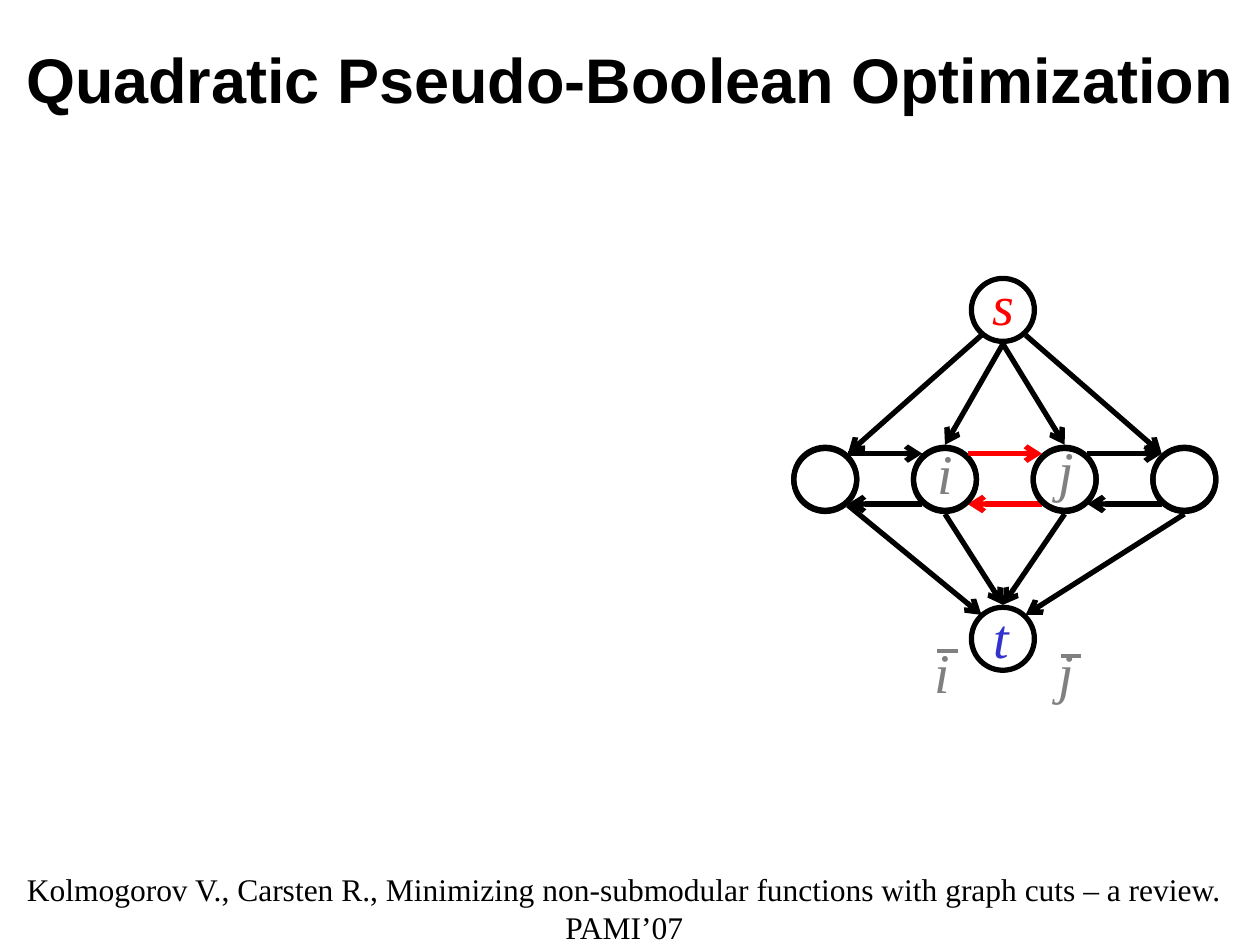
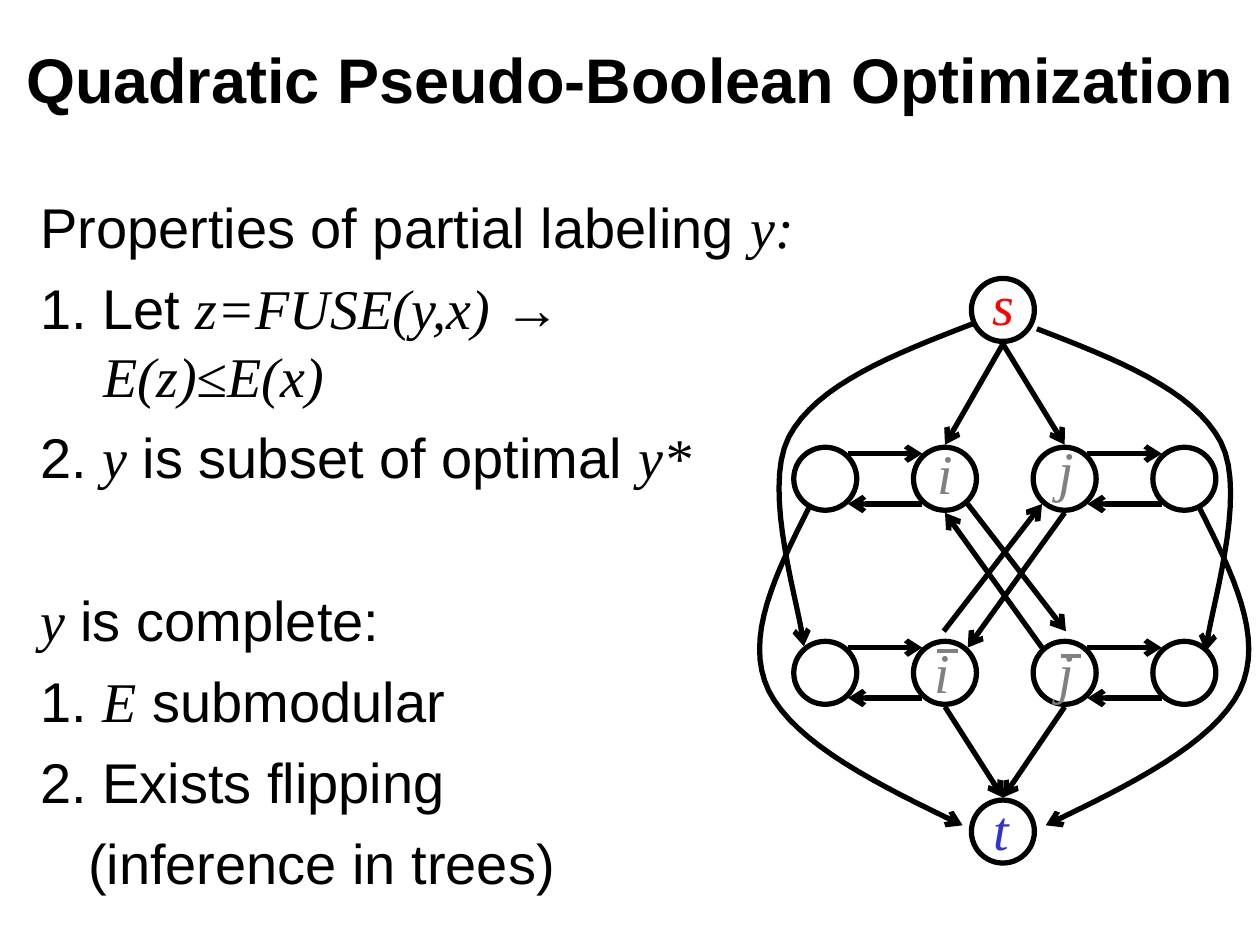
import pptx
import pptx.dml.color
import pptx.enum.shapes
import pptx.enum.text
import pptx.oxml
import pptx.oxml.ns
import pptx.util

Inches, Pt = pptx.util.Inches, pptx.util.Pt
ALIGN = pptx.enum.text.PP_ALIGN
COLORS = {"black": "000000", "white": "FFFFFF", "red": "FF0000",
          "blue": "3333CC", "gray": "808080"}
SANS, SERIF = "Arial", "Times New Roman"
TITLE = "Quadratic Pseudo-Boolean Optimization"

GRAPH = (6.3, 2.21)
NODE = 0.5
PITCH = 0.95
COLUMNS = [k * PITCH for k in range(4)]
TERMINAL_X = 1.41
UPPER_ROW = 1.34
I_X, J_X = 1.2, 2.15
NEAR, FAR = 0.05, 0.45
LINE = 3

S_CURVE = [(1.42, 0.36), (0.8, 0.6), (0.18, 0.84), (-0.04, 1.26),
           (-0.26, 1.69), (0.06, 2.64), (0.08, 2.92)]
T_CURVE = [(0.12, 1.82), (-0.14, 2.34), (-0.4, 2.85), (-0.2, 3.27),
           (0.01, 3.69), (0.67, 4.02), (1.34, 4.34)]


def rgb(name):
    return pptx.dml.color.RGBColor.from_string(COLORS[name])


def set_font(font, size, name, color="black", bold=False, italic=False):
    font.size, font.name = Pt(size), name
    font.bold, font.italic = bold, italic
    font.color.rgb = rgb(color)


def add_text(s, box, lines, size, name, wrap=False, align=ALIGN.CENTER,
             **style):
    """Add a text box with one paragraph per line and return its frame."""
    tf = s.shapes.add_textbox(*map(Inches, box)).text_frame
    tf.word_wrap = wrap
    for n, line in enumerate(lines):
        p = tf.paragraphs[0] if n == 0 else tf.add_paragraph()
        p.text, p.alignment = line, align
        set_font(p.font, size, name, **style)
    return tf


def add_title(s):
    tf = add_text(s, (0, 0, 10, 1.25), [TITLE], 36, SANS, wrap=True, bold=True)
    tf.vertical_anchor = pptx.enum.text.MSO_ANCHOR.MIDDLE


def add_arrowhead(line):
    ln = line._get_or_add_ln()
    ln.append(pptx.oxml.parse_xml(
        f'<a:tailEnd {pptx.oxml.ns.nsdecls("a")} type="arrow"/>'))


class Graph:
    """Draws graph parts at positions relative to its top left corner."""

    def __init__(self, s, origin):
        self.s = s
        self.left, self.top = origin

    def at(self, x, y):
        return Inches(self.left + x), Inches(self.top + y)

    def node(self, x, y, filled=True):
        sp = self.s.shapes.add_shape(pptx.enum.shapes.MSO_SHAPE.OVAL,
                                     *self.at(x, y), Inches(NODE), Inches(NODE))
        sp.shadow.inherit = False
        if filled:
            sp.fill.solid()
            sp.fill.fore_color.rgb = rgb("white")
        else:
            sp.fill.background()
        sp.line.color.rgb, sp.line.width = rgb("black"), Pt(LINE)

    def row(self, y, filled=True):
        for x in COLUMNS:
            self.node(x, y, filled)

    def line(self, start, end, color="black", width=LINE, head=True):
        c = self.s.shapes.add_connector(
            pptx.enum.shapes.MSO_CONNECTOR.STRAIGHT,
            *self.at(*start), *self.at(*end))
        c.line.color.rgb, c.line.width = rgb(color), Pt(width)
        c._element.spPr.append(pptx.oxml.parse_xml(
            f'<a:effectLst {pptx.oxml.ns.nsdecls("a")}/>'))
        if head:
            add_arrowhead(c.line)

    def both_ways(self, column, y, color="black"):
        """Join a node to its right neighbour by a pair of arrows."""
        x1 = COLUMNS[column] + NODE - 0.07
        x2 = COLUMNS[column + 1] + 0.07
        self.line((x1, y + NEAR), (x2, y + NEAR), color)
        self.line((x2, y + FAR), (x1, y + FAR), color)

    def label(self, text, x, y, color="gray", width=0.32):
        add_text(self.s, (self.left + x, self.top + y, width, 0.64), [text],
                 32, SERIF, color=color, italic=True)

    def curve(self, points, steps=16):
        """Draw an arrow along two joined cubic curves."""
        dots = [points[0]]
        for a, b, c, d in (points[:4], points[3:]):
            for n in range(1, steps + 1):
                t = n / steps
                u = 1 - t
                dots.append(tuple(
                    u**3 * p + 3 * u * u * t * q + 3 * u * t * t * v + t**3 * w
                    for p, q, v, w in zip(a, b, c, d)))
        builder = self.s.shapes.build_freeform(*self.at(*dots[0]))
        builder.add_line_segments([self.at(*d) for d in dots[1:]], close=False)
        sp = builder.convert_to_shape()
        sp.shadow.inherit = False
        sp.fill.background()
        sp.line.color.rgb, sp.line.width = rgb("black"), Pt(LINE)
        add_arrowhead(sp.line)

    def source(self):
        """Draw s, the upper row and the arrows both graphs have there."""
        self.node(TERMINAL_X, 0)
        self.row(UPPER_ROW)
        for x in (I_X, J_X):
            self.line((1.66, 0.52), (x, 1.32))
        for column in (0, 2):
            self.both_ways(column, UPPER_ROW)
        self.label("s", 1.48, -0.12, "red", 0.37)
        self.label("i", 1.04, 1.22)
        self.label("j", 2.0, 1.2)

    def sink(self, y):
        """Draw t below the row at y, with the arrows into it."""
        self.node(TERMINAL_X, y + 1.26)
        for x in (I_X, J_X):
            self.line((x, y + 0.52), (1.66, y + 1.24))
        self.label("t", 1.49, y + 1.17, "blue")
        self.row(y, filled=False)

    def complements(self):
        for text, x, bar_y in (("i", 1.02, 2.96), ("j", 2.0, 3.0)):
            self.label(text, x, 2.8)
            self.line((x + 0.12, bar_y), (x + 0.28, bar_y), "gray", 2.25, False)


def mirrored(points, width, dy=0):
    return [(width - x, y + dy) for x, y in points]


def add_single_graph(s, origin):
    g = Graph(s, origin)
    g.source()
    g.line((1.49, FAR), (0.43, 1.39))
    g.line((1.84, FAR), (2.92, 1.39))
    g.both_ways(1, UPPER_ROW, "red")
    row = UPPER_ROW + 0.01
    g.line((0.43, row + FAR), (1.49, row + 1.32))
    g.line((3.1, row + 0.52), (1.84, row + 1.32))
    g.sink(row)
    g.complements()


def add_doubled_graph(s, origin):
    g = Graph(s, origin)
    row = 2.88
    g.source()
    g.sink(row)
    g.complements()
    for column in (0, 2):
        g.both_ways(column, row)
    for start, end in (((2.15, 1.86), (1.38, 2.93)), ((1.19, 2.8), (1.97, 1.79)),
                       ((1.97, 2.93), (1.2, 1.86)), ((1.38, 1.79), (2.16, 2.8))):
        g.line(start, end)
    for points in (S_CURVE, mirrored(S_CURVE, 3.35, 0.04),
                   T_CURVE, mirrored(T_CURVE, 3.34)):
        g.curve(points)


def add_properties(s, box):
    """Add the list; each item alternates upright and italic pieces."""
    items = [
        ["Properties of partial labeling ", "y:"],
        ["1. Let ", "z=FUSE(y,x) ", "→\v ", "E(z)≤E(x)"],
        ["2. ", "y", " is subset of optimal ", "y*"],
        ["", "y", " is complete:"],
        ["1. ", "E", " submodular"],
        ["2. Exists flipping"],
        ["(inference in trees)"],
    ]
    section_start, continuation = 3, 6
    tf = add_text(s, box, [""] * len(items), 32, SANS, wrap=True,
                  align=ALIGN.LEFT)
    for n, (p, pieces) in enumerate(zip(tf.paragraphs, items)):
        hang = 0 if n == continuation else -0.38
        pPr = p._p.get_or_add_pPr()
        pPr.set("marL", str(Inches(0.38)))
        pPr.set("indent", str(Inches(hang)))
        p.line_spacing = Pt(39)
        p.space_before = Pt(0 if n == 0 else 54 if n == section_start else 7.3)
        for k, piece in enumerate(pieces):
            for m, part in enumerate(piece.split("\v")):
                if m:
                    p.add_line_break()
                if part:
                    r = p.add_run()
                    r.text = part
                    italic = k % 2 == 1
                    set_font(r.font, 32, SERIF if italic else SANS,
                             italic=italic)


def add_citation(s, box):
    add_text(s, box, ["Kolmogorov V., Carsten R., Minimizing non-submodular "
                      "functions with graph cuts – a review. ", "PAMI’07 "],
             18, SERIF)


def main():
    prs = pptx.Presentation()
    prs.slide_width, prs.slide_height = Inches(10), Inches(7.5)
    blank = prs.slide_layouts[6]

    s = prs.slides.add_slide(blank)
    add_title(s)
    add_single_graph(s, GRAPH)
    add_citation(s, (0.09, 6.86, 9.79, 0.7))

    s = prs.slides.add_slide(blank)
    add_title(s)
    add_properties(s, (0.22, 1.47, 7.22, 5.79))
    add_doubled_graph(s, GRAPH)

    prs.save("out.pptx")


if __name__ == "__main__":
    main()
